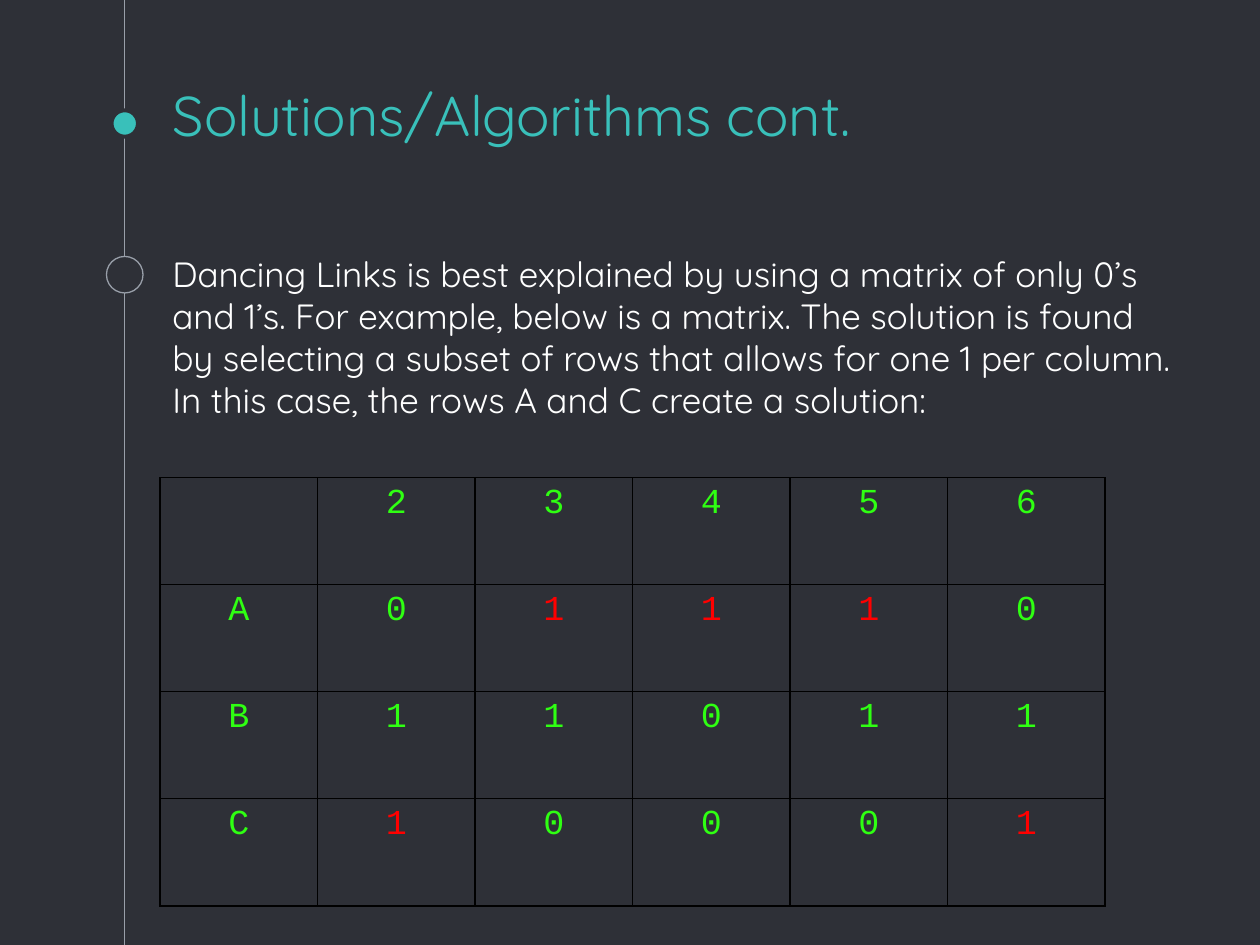
from lxml.etree import SubElement
from pptx import Presentation
from pptx.dml.color import RGBColor
from pptx.enum.shapes import MSO_CONNECTOR as Connector, MSO_SHAPE as Shape
from pptx.enum.text import MSO_ANCHOR as Anchor, MSO_AUTO_SIZE as AutoSize, PP_ALIGN as Align
from pptx.oxml.ns import qn
from pptx.util import Inches, Pt

TITLE = "Solutions/Algorithms cont."
BODY = (
    "Dancing Links is best explained by using a matrix of only 0’s and 1’s. "
    "For example, below is a matrix. The solution is found by selecting a subset "
    "of rows that allows for one 1 per column. In this case, the rows A and C "
    "create a solution:"
)
MATRIX = [
    ["", "2", "3", "4", "5", "6"],
    ["A", "0", "1", "1", "1", "0"],
    ["B", "1", "1", "0", "1", "1"],
    ["C", "1", "0", "0", "0", "1"],
]
SOLUTION = ("A", "C")
DARK, GREY, TEAL, WHITE = "2E3037", "999FA9", "39C0BA", "FFFFFF"
GREEN, RED, BLACK = "2FFF12", "FF0000", "000000"
WIDTH, HEIGHT = 10, 7.5
RAIL, LEFT = 0.99, 1.27
COLUMN, ROW = 1.25, 0.85
DOTS = [(0.98, 0.21, TEAL, DARK, 2.25), (2.18, 0.29, DARK, GREY, 0.75)]


def paint(target, color):
    target.solid()
    target.fore_color.rgb = RGBColor.from_string(color)


def style(para, font, size, color, align=Align.LEFT):
    para.alignment = align
    para.font.name, para.font.size = font, Pt(size)
    para.font.color.rgb = RGBColor.from_string(color)


def write(box, text, size, color, anchor):
    frame = box.text_frame
    frame.text = text
    frame.word_wrap, frame.auto_size = True, AutoSize.NONE
    frame.vertical_anchor = anchor
    frame.margin_left = frame.margin_right = Inches(0.1)
    frame.margin_top = frame.margin_bottom = Inches(0.1)
    style(frame.paragraphs[0], "Quicksand", size, color)
    return frame.paragraphs[0]


def add_rail(page):
    x = Inches(RAIL)
    rail = page.shapes.add_connector(Connector.STRAIGHT, x, 0, x, Inches(HEIGHT))
    paint(rail.line.fill, GREY)
    rail.line.width = Pt(0.75)
    SubElement(rail.element.spPr, qn("a:effectLst"))
    for middle, size, fill, edge, weight in DOTS:
        corner = Inches(RAIL - size / 2), Inches(middle - size / 2)
        dot = page.shapes.add_shape(Shape.OVAL, *corner, Inches(size), Inches(size))
        dot.shadow.inherit = False
        paint(dot.fill, fill)
        paint(dot.line.fill, edge)
        dot.line.width = Pt(weight)


def add_borders(cell):
    props = cell._tc.get_or_add_tcPr()
    for place, side in enumerate(("a:lnL", "a:lnR", "a:lnT", "a:lnB")):
        border = props.makeelement(qn(side), {"w": str(Pt(0.75))})
        fill = SubElement(border, qn("a:solidFill"))
        SubElement(fill, qn("a:srgbClr"), val=BLACK)
        props.insert(place, border)


def add_matrix(page):
    rows, columns = len(MATRIX), len(MATRIX[0])
    table = page.shapes.add_table(
        rows, columns, Inches(LEFT), Inches(3.79), Inches(columns * COLUMN), Inches(rows * ROW)
    ).table
    for row in table.rows:
        row.height = Inches(ROW)
    for r, values in enumerate(MATRIX):
        for c, value in enumerate(values):
            cell = table.cell(r, c)
            cell.text = value
            paint(cell.fill, DARK)
            add_borders(cell)
            chosen = values[0] in SOLUTION and value == "1"
            para = cell.text_frame.paragraphs[0]
            style(para, "Courier New", 20, RED if chosen else GREEN, Align.CENTER)


def main():
    """Build the slide on the exact cover matrix and save it."""
    deck = Presentation()
    deck.slide_width, deck.slide_height = Inches(WIDTH), Inches(HEIGHT)
    page = deck.slides.add_slide(deck.slide_layouts[5])
    paint(page.background.fill, DARK)
    add_rail(page)
    title = page.shapes.title
    title.left, title.top = Inches(LEFT), Inches(0.77)
    title.width, title.height = Inches(7.5), Inches(0.5)
    write(title, TITLE, 32, TEAL, Anchor.BOTTOM)
    body = page.shapes.add_textbox(Inches(LEFT), Inches(1.9), Inches(8.23), Inches(2.45))
    write(body, BODY, 20, WHITE, Anchor.TOP).space_before = Pt(6)
    add_matrix(page)
    deck.save("out.pptx")


if __name__ == "__main__":
    main()
